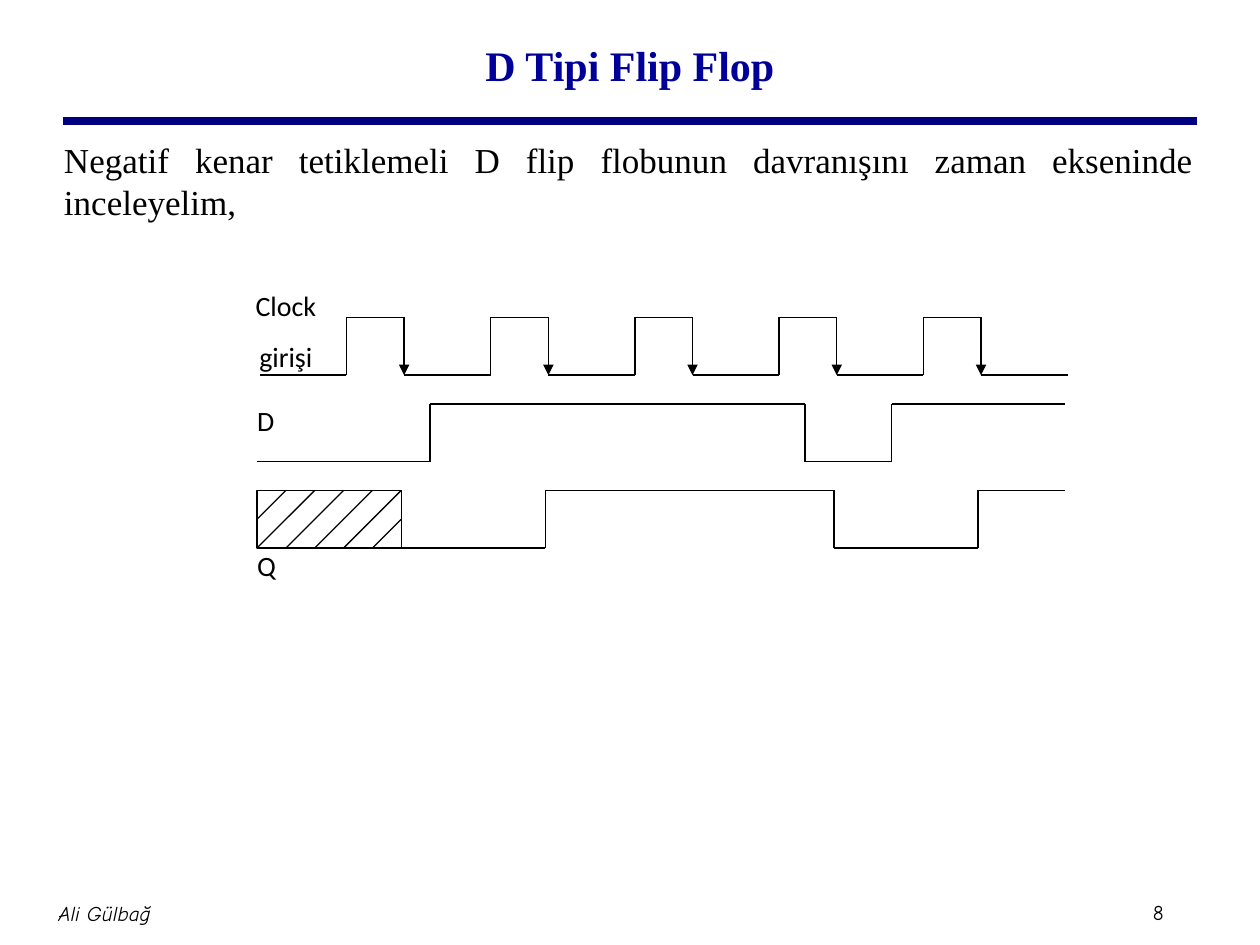
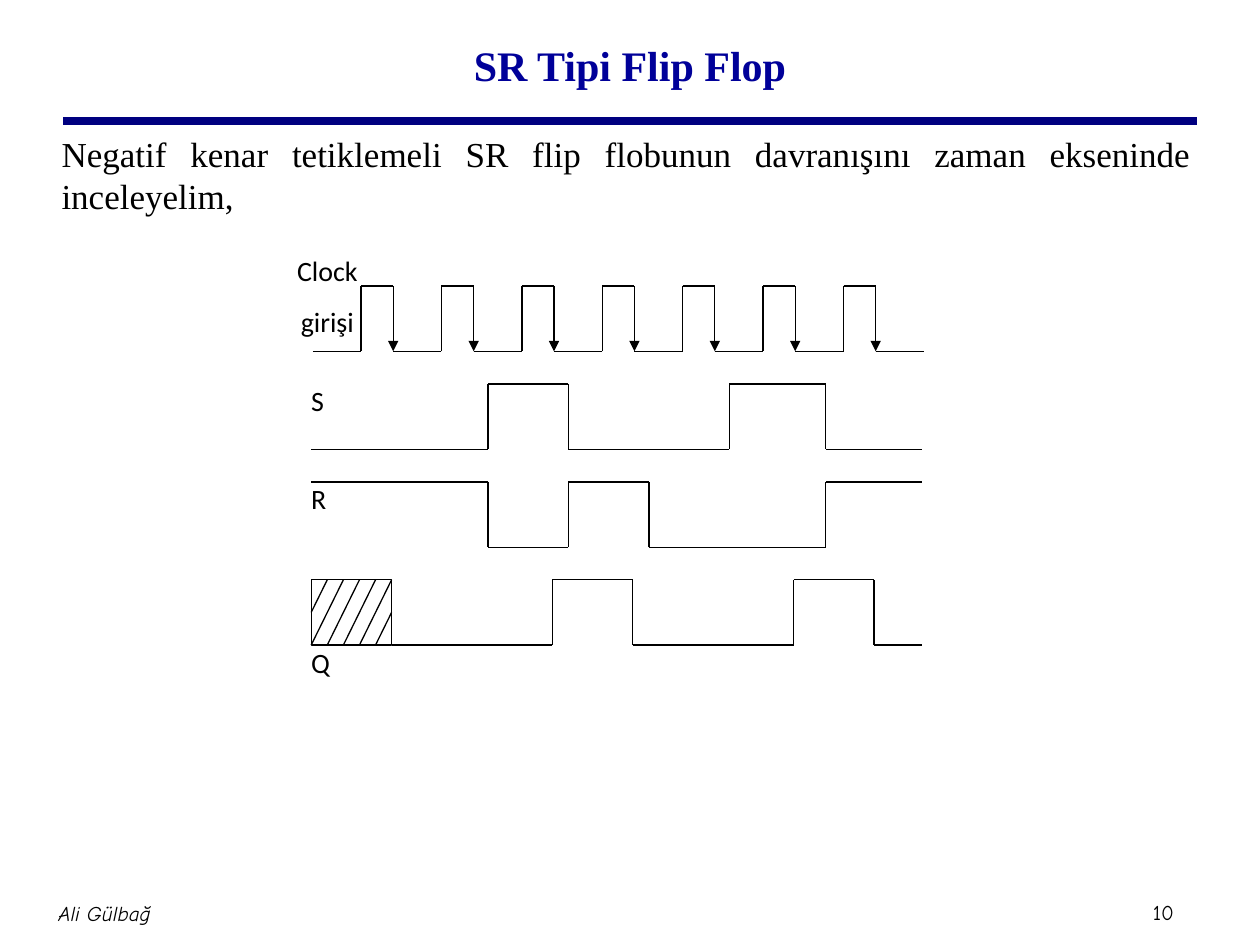
import dataclasses
import typing

import lxml.etree
import pptx
import pptx.dml.color
import pptx.enum.shapes
import pptx.enum.text
import pptx.oxml.ns
import pptx.util

ALIGN = pptx.enum.text.PP_ALIGN
ANCHOR = pptx.enum.text.MSO_ANCHOR


@dataclasses.dataclass(frozen=True)
class Theme:
    ink: str = "000000"
    paper: str = "FFFFFF"
    navy: str = "000080"
    blue: str = "000099"
    serif: str = "Times New Roman"
    sans: str = "Calibri"
    comic: str = "Comic Neue"
    head: int = 24
    body: int = 20
    label: int = 16
    foot: int = 12
    thin: float = 0.75
    thick: float = 4.5


@dataclasses.dataclass(frozen=True)
class Grid:
    left: float
    top: float
    col: float
    row: float

    def x(self, col: float) -> int:
        return pptx.util.Inches(self.left + col * self.col)

    def y(self, row: float) -> int:
        return pptx.util.Inches(self.top + row * self.row)

    def box(self, col: float, row: float, wide: float, high: float) -> tuple:
        x, y = self.x(col), self.y(row)
        return x, y, self.x(col + wide) - x, self.y(row + high) - y


@dataclasses.dataclass(frozen=True)
class Wave:
    name: str
    edges: tuple
    high: bool = False


@dataclasses.dataclass(frozen=True)
class Chart:
    title: str
    intro: str
    page: str
    body: tuple
    grid: Grid
    cols: int
    pulses: int
    inputs: tuple
    output: Wave


THEME = Theme()
WIDE, HIGH = 10, 7.5
PAGE = Grid(0, 0, WIDE / 100, HIGH / 75)
PITCH, SWING = 3, 2
RISE, FALL, CYCLE = 3, 5, 5
HATCH = 5


def rgb(code: str) -> pptx.dml.color.RGBColor:
    return pptx.dml.color.RGBColor.from_string(code)


def write(frame: typing.Any, text: str, *, size: int, font: str,
          color: str = THEME.ink, bold: bool = False, italic: bool = False,
          align: typing.Any = ALIGN.LEFT, anchor: typing.Any = ANCHOR.TOP,
          inset: tuple = (0, 0), before: float = 0, after: float = 0) -> None:
    frame.word_wrap = True
    frame.vertical_anchor = anchor
    frame.margin_left = frame.margin_right = pptx.util.Inches(inset[0])
    frame.margin_top = frame.margin_bottom = pptx.util.Inches(inset[1])
    frame.text = text
    for para in frame.paragraphs:
        para.alignment = align
        para.space_before = pptx.util.Pt(before)
        para.space_after = pptx.util.Pt(after)
        for run in para.runs:
            run.font.size = pptx.util.Pt(size)
            run.font.name = font
            run.font.bold = bold
            run.font.italic = italic
            run.font.color.rgb = rgb(color)


def line(shapes: typing.Any, grid: Grid, start: tuple, end: tuple,
         color: str = THEME.ink, width: float = THEME.thin,
         arrow: bool = False) -> None:
    item = shapes.add_connector(
        pptx.enum.shapes.MSO_CONNECTOR.STRAIGHT,
        grid.x(start[0]), grid.y(start[1]), grid.x(end[0]), grid.y(end[1]))
    item.line.color.rgb = rgb(color)
    item.line.width = pptx.util.Pt(width)
    name = pptx.oxml.ns.qn
    props = item._element.spPr
    if arrow:
        lxml.etree.SubElement(props.find(name("a:ln")), name("a:tailEnd"),
                              type="triangle")
    lxml.etree.SubElement(props, name("a:effectLst"))


def label(shapes: typing.Any, grid: Grid, text: str, place: tuple,
          align: typing.Any = ALIGN.LEFT) -> None:
    box = shapes.add_textbox(*grid.box(*place))
    write(box.text_frame, text, size=THEME.label, font=THEME.sans,
          align=align, after=10)


def trace(shapes: typing.Any, grid: Grid, wave: Wave, row: float, end: int,
          start: float = 0, shift: float = 0, arrows: bool = False) -> None:
    high, at = wave.high, start
    for edge in (*wave.edges, end):
        level = row if high else row + SWING
        other = row + SWING if high else row
        line(shapes, grid, (at + shift, level), (edge + shift, level))
        if edge != end:
            line(shapes, grid, (edge + shift, level), (edge + shift, other),
                 arrow=arrows and high)
        at, high = edge, not high


def hatch(shapes: typing.Any, grid: Grid, row: float) -> None:
    rect = shapes.add_shape(pptx.enum.shapes.MSO_SHAPE.RECTANGLE,
                            *grid.box(0, row, HATCH, SWING))
    rect.shadow.inherit = False
    rect.fill.solid()
    rect.fill.fore_color.rgb = rgb(THEME.paper)
    rect.line.color.rgb = rgb(THEME.ink)
    rect.line.width = pptx.util.Pt(THEME.thin)
    for step in range(1, HATCH + SWING):
        line(shapes, grid,
             (min(step, HATCH), row + max(0, step - HATCH)),
             (max(0, step - SWING), row + min(step, SWING)))


def frame(deck: typing.Any, chart: Chart) -> typing.Any:
    slide = deck.slides.add_slide(deck.slide_layouts[5])
    shapes = slide.shapes
    line(shapes, PAGE, (5, 9.6), (95, 9.6), THEME.navy, THEME.thick)
    for text, place, align, italic in (
            (chart.page, (91, 70.9, 4.7, 3), ALIGN.LEFT, False),
            ("Ali Gülbağ", (0, 70, 16.6, 5), ALIGN.CENTER, True)):
        box = shapes.add_textbox(*PAGE.box(*place))
        write(box.text_frame, text, size=THEME.foot, font=THEME.comic,
              italic=italic, align=align, anchor=ANCHOR.MIDDLE,
              inset=(0.05, 0.05))
    title = shapes.title
    title.left, title.top, title.width, title.height = PAGE.box(
        7.5, 0.8, 85, 8.6)
    write(title.text_frame, chart.title, size=THEME.head, font=THEME.serif,
          color=THEME.blue, bold=True, align=ALIGN.CENTER,
          anchor=ANCHOR.MIDDLE, inset=(0.1, 0.05))
    body = shapes.add_textbox(*PAGE.box(*chart.body))
    write(body.text_frame, chart.intro, size=THEME.body, font=THEME.serif,
          align=ALIGN.JUSTIFY, inset=(0.1, 0.05), before=4)
    return slide


def draw(deck: typing.Any, chart: Chart) -> None:
    shapes = frame(deck, chart).shapes.add_group_shape().shapes
    grid, end = chart.grid, chart.cols
    edges = tuple(turn * CYCLE + edge for turn in range(chart.pulses)
                  for edge in (RISE, FALL))
    clock = Wave("Clock\ngirişi", edges)
    trace(shapes, grid, clock, 0, end, shift=0.1, arrows=True)
    label(shapes, grid, clock.name, (-1, -1, 4, 3), ALIGN.CENTER)
    for rank, wave in enumerate(chart.inputs, 1):
        trace(shapes, grid, wave, rank * PITCH, end)
        label(shapes, grid, wave.name, (0, rank * PITCH, 4, SWING))
    row = (len(chart.inputs) + 1) * PITCH
    trace(shapes, grid, chart.output, row, end, start=HATCH)
    hatch(shapes, grid, row)
    label(shapes, grid, chart.output.name, (0, row + SWING, 2, SWING))


INTRO = ("Negatif kenar tetiklemeli {} flip flobunun davranışını "
         "zaman ekseninde inceleyelim,")
CHARTS = (
    Chart("D Tipi Flip Flop", INTRO.format("D"), "8",
          (4.1, 10.5, 91.6, 8.3), Grid(2.04, 2.52, 6.41 / 28, 1.83 / 8),
          28, 5, (Wave("D", (6, 19, 22)),), Wave("Q", (10, 20, 25))),
    Chart("SR Tipi Flip Flop", INTRO.format("SR"), "10",
          (3.9, 10, 91.6, 55.5), Grid(2.47, 2.27, 4.85 / 38, 2.85 / 11),
          38, 7, (Wave("S", (11, 16, 26, 32)),
                  Wave("R", (11, 16, 21, 32), high=True)),
          Wave("Q", (15, 20, 30, 35))),
)


def main() -> None:
    deck = pptx.Presentation()
    deck.slide_width = pptx.util.Inches(WIDE)
    deck.slide_height = pptx.util.Inches(HIGH)
    for chart in CHARTS:
        draw(deck, chart)
    deck.save("out.pptx")


main()
